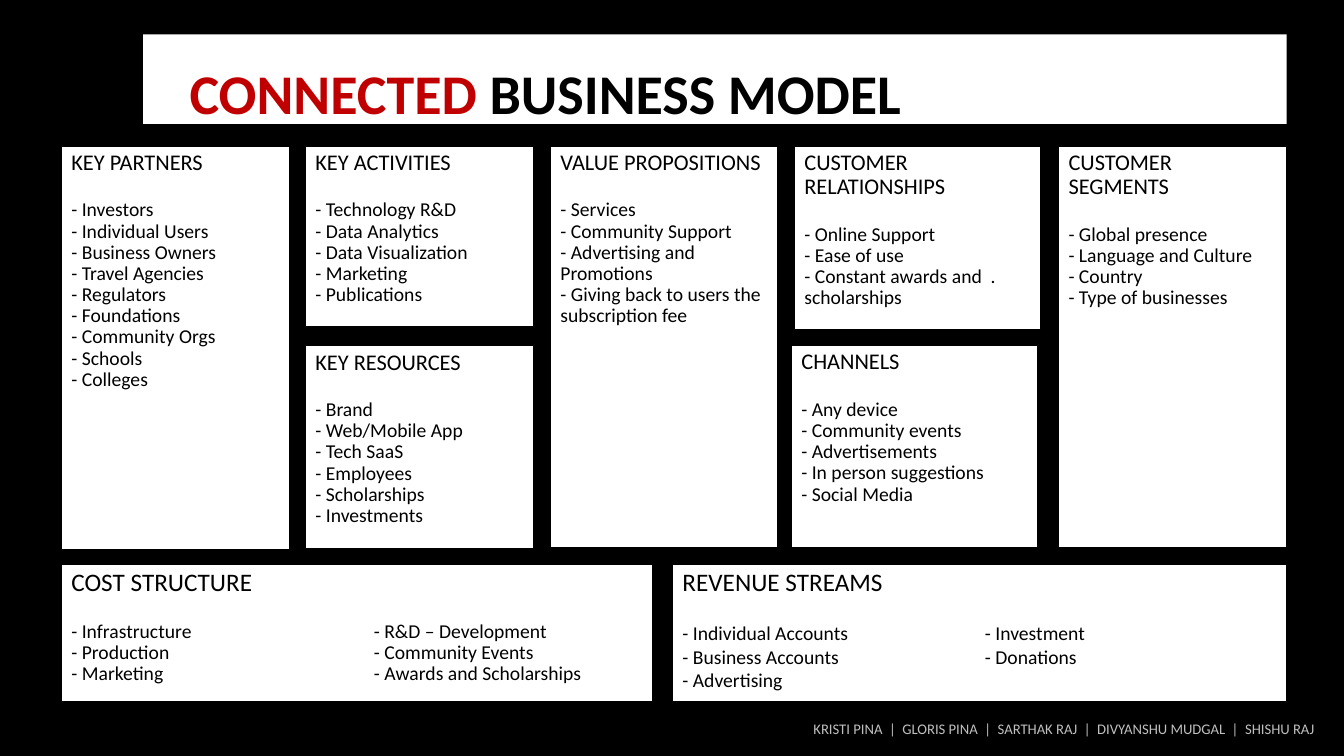
from pptx import Presentation
from pptx.dml.color import RGBColor
from pptx.enum.shapes import MSO_SHAPE
from pptx.enum.text import MSO_ANCHOR, MSO_AUTO_SIZE, PP_ALIGN
from pptx.oxml.ns import qn
from pptx.util import Inches, Pt
from lxml import etree

RECT = MSO_SHAPE.RECTANGLE
TOP = MSO_ANCHOR.TOP
NO_FIT = MSO_AUTO_SIZE.NONE
LEFT = PP_ALIGN.LEFT

FONT = "Calibri"
BLACK, WHITE, RED, GREY = "000000", "FFFFFF", "C00000", "BFBFBF"
SECOND_COLUMN = 3.0

TITLE = [("CONNECTED ", RED), ("BUSINESS MODEL", BLACK)]
AUTHORS = ["KRISTI PINA", "GLORIS PINA", "SARTHAK RAJ", "DIVYANSHU MUDGAL", "SHISHU RAJ"]

# heading, (left, top, width, height), heading size, item line spacing, items
BLOCKS = [
    ("KEY PARTNERS", (0.61, 1.45, 2.26, 4.0), 16, 0.9,
     ["Investors", "Individual Users", "Business Owners", "Travel Agencies", "Regulators",
      "Foundations", "Community Orgs", "Schools", "Colleges"]),
    ("KEY ACTIVITIES", (3.03, 1.45, 2.26, 1.79), 16, 0.9,
     ["Technology R&D", "Data Analytics", "Data Visualization", "Marketing", "Publications"]),
    ("KEY RESOURCES", (3.03, 3.43, 2.26, 2.01), 16, 0.9,
     ["Brand", "Web/Mobile App", "Tech SaaS", "Employees", "Scholarships", "Investments"]),
    ("VALUE PROPOSITIONS", (5.46, 1.45, 2.25, 3.98), 16, 0.9,
     ["Services", "Community Support", "Advertising and Promotions",
      "Giving back to users the subscription fee"]),
    ("CUSTOMER RELATIONSHIPS", (7.88, 1.45, 2.44, 1.82), 16, 0.9,
     ["Online Support", "Ease of use", "Constant awards and  . scholarships"]),
    ("CHANNELS", (7.85, 3.43, 2.44, 2.0), 16, 0.9,
     ["Any device", "Community events", "Advertisements", "In person suggestions",
      "Social Media"]),
    ("CUSTOMER SEGMENTS", (10.5, 1.45, 2.26, 3.98), 16, 0.9,
     ["Global presence", "Language and Culture", "Country", "Type of businesses"]),
    ("COST STRUCTURE", (0.61, 5.6, 5.86, 1.36), 18, 0.9,
     ["Infrastructure\t- R&D – Development", "Production\t- Community Events",
      "Marketing\t- Awards and Scholarships"]),
    ("REVENUE STREAMS", (6.67, 5.6, 6.09, 1.36), 18, 1.0,
     ["Individual Accounts\t- Investment", "Business Accounts\t- Donations", "Advertising"]),
]


def rgb(color):
    return RGBColor.from_string(color)


def fill(shape, color):
    shape.fill.solid()
    shape.fill.fore_color.rgb = rgb(color)


def style(run, size, color, bold=False):
    run.font.name = FONT
    run.font.size = Pt(size)
    run.font.bold = bold
    run.font.color.rgb = rgb(color)


def add_tab_stop(p, inches):
    tabs = etree.SubElement(p._p.get_or_add_pPr(), qn("a:tabLst"))
    etree.SubElement(tabs, qn("a:tab"), pos=str(Inches(inches)), algn="l")


def add_block(s, heading, box, heading_size, spacing, items):
    shape = s.shapes.add_shape(RECT, *map(Inches, box))
    shape.shadow.inherit = False
    fill(shape, WHITE)
    shape.line.color.rgb = rgb(BLACK)
    shape.line.width = Pt(1)
    tf = shape.text_frame
    tf.word_wrap = True
    tf.vertical_anchor = TOP
    tf.text = "\n".join([heading] + [f"- {item}" for item in items])
    for i, p in enumerate(tf.paragraphs):
        p.alignment = LEFT
        p.line_spacing = spacing if i else 0.9
        if i == 0:
            p.space_after = Pt(17.6)
        if "\t" in p.text:
            add_tab_stop(p, SECOND_COLUMN)
        for r in p.runs:
            style(r, 14 if i else heading_size, BLACK)


def add_title(s):
    title = s.shapes.title
    title.left, title.top = Inches(1.42), Inches(0.34)
    title.width, title.height = Inches(11.34), Inches(0.89)
    fill(title, WHITE)
    tf = title.text_frame
    tf.auto_size = NO_FIT
    tf.vertical_anchor = TOP
    tf.margin_left, tf.margin_top, tf.margin_bottom = Inches(0.46), Inches(0.24), 0
    p = tf.paragraphs[0]
    p.alignment = LEFT
    for text, color in TITLE:
        r = p.add_run()
        r.text = text
        style(r, 40, color, bold=True)


def add_authors(s):
    tf = s.shapes.add_textbox(Inches(7.97), Inches(7.09), Inches(5.26), Inches(0.29)).text_frame
    tf.word_wrap = True
    tf.text = "  |  ".join(AUTHORS)
    style(tf.paragraphs[0].runs[0], 10.5, GREY)


def main():
    prs = Presentation()
    prs.slide_width, prs.slide_height = Inches(13.33), Inches(7.5)
    s = prs.slides.add_slide(prs.slide_layouts[5])
    fill(s.background, BLACK)
    add_title(s)
    for block in BLOCKS:
        add_block(s, *block)
    add_authors(s)
    prs.save("out.pptx")


if __name__ == "__main__":
    main()
